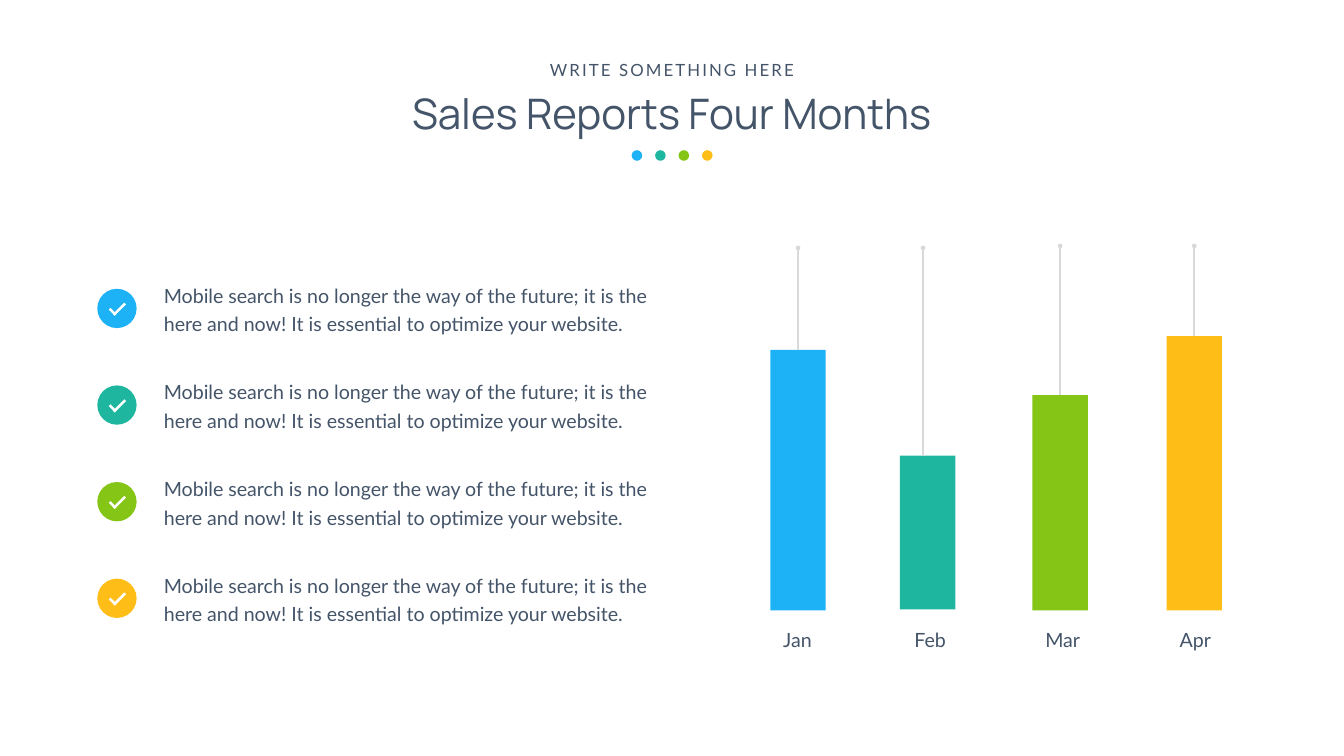
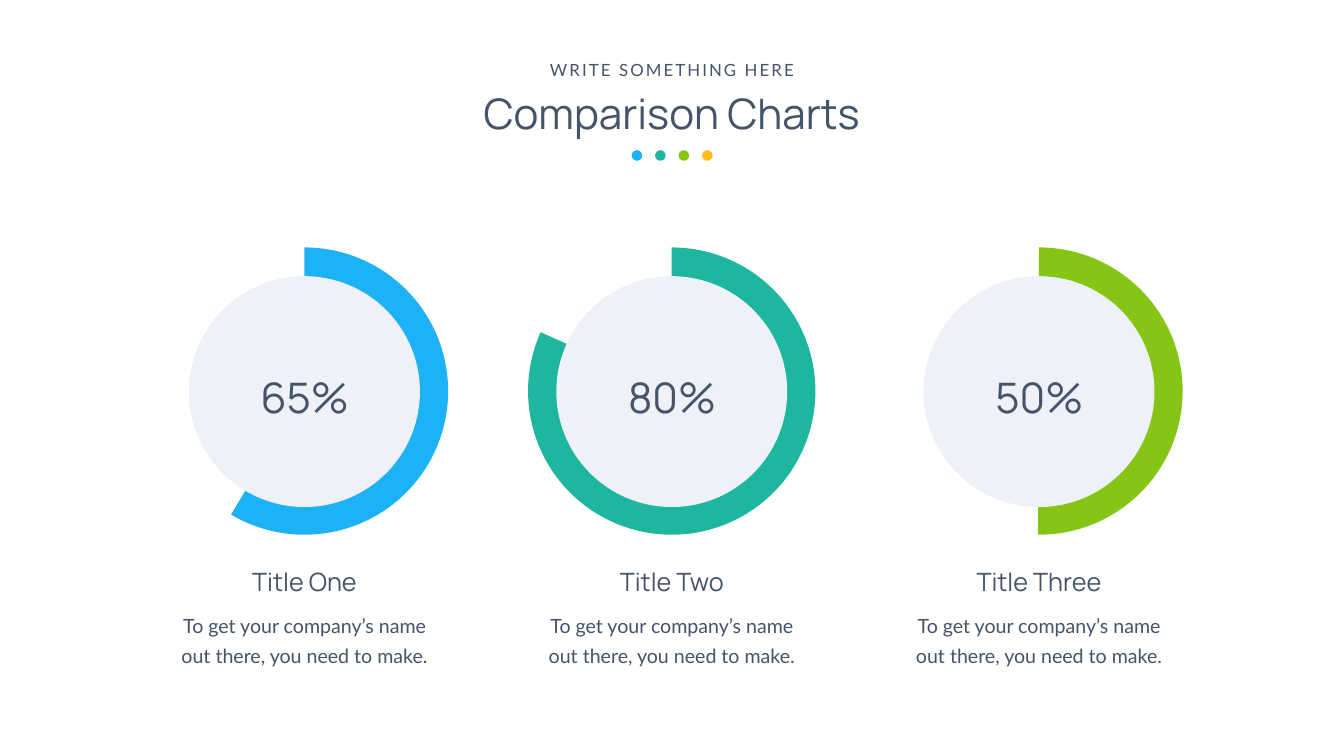
from pptx import Presentation
from pptx.dml.color import RGBColor
from pptx.enum.shapes import MSO_CONNECTOR as Link, MSO_SHAPE as Shape
from pptx.enum.text import MSO_ANCHOR as Anchor, MSO_AUTO_SIZE as Fit, PP_ALIGN as Align
from pptx.oxml import parse_xml
from pptx.oxml.ns import nsdecls, qn
from pptx.util import Inches, Pt

COLORS = {
    "ink": "445469",
    "blue": "1DB1F5",
    "teal": "1FB69F",
    "green": "85C515",
    "amber": "FEBD17",
    "disc": "EFF1F8",
    "pin": "D9D9D9",
    "white": "FFFFFF",
}
ACCENTS = ["blue", "teal", "green", "amber"]
COLUMNS, ROWS = 26.66, 15

FONTS = {
    "title": {"name": "Manrope", "size": Pt(60)},
    "subtitle": {"name": "Manrope", "size": Pt(36)},
    "eyebrow": {"name": "Lato", "size": Pt(24)},
    "body": {"name": "Lato", "size": Pt(28)},
}
CENTERED = {"alignment": Align.CENTER}
CAPTION = {"alignment": Align.CENTER, "line_spacing": Pt(43)}
MONTH = {"alignment": Align.CENTER, "line_spacing": 1.3}
POINT = {"alignment": Align.LEFT, "line_spacing": Pt(40.8)}
POINT_GAP = Pt(56.4)

BOX = {"word_wrap": True, "auto_size": Fit.SHAPE_TO_FIT_TEXT, "vertical_anchor": Anchor.TOP}
ONE_LINE = BOX | {"word_wrap": False}
MONTH_BOX = BOX | {
    "vertical_anchor": Anchor.MIDDLE,
    "margin_left": Inches(0.1), "margin_right": 0, "margin_top": 0, "margin_bottom": 0,
}
LIST_BOX = BOX | {
    "auto_size": Fit.NONE,
    "margin_left": Inches(0.24), "margin_right": Inches(0.24),
    "margin_top": Inches(0.12), "margin_bottom": Inches(0.12),
}


def apply(target, formats):
    for name, value in formats.items():
        setattr(target, name, value)


def rgb(color):
    return RGBColor.from_string(COLORS[color])


class Deck:
    def __init__(self):
        self.file = Presentation()
        self.file.slide_width = Inches(COLUMNS)
        self.file.slide_height = Inches(ROWS)
        self.cell = self.file.slide_height / ROWS
        self.slide = None

    def grid(self, *cells):
        return [round(cell * self.cell) for cell in cells]

    def start(self, title, layout):
        self.slide = self.file.slides.add_slide(self.file.slide_layouts[layout])
        heading = self.place(self.slide.shapes.title, 5.78, 1.68, 15.09, 1.11)
        self.fill_text(heading, [title], "title", CENTERED, BOX)
        self.text("WRITE SOMETHING HERE", (10.76, 1.13, 5.14, 0.5), "eyebrow",
                  CENTERED, ONE_LINE, tracking=3)
        for order, accent in enumerate(ACCENTS):
            self.shape(Shape.OVAL, accent, 12.53 + 0.465 * order, 2.98, 0.21, 0.21)

    def place(self, holder, *area):
        apply(holder, dict(zip(("left", "top", "width", "height"), self.grid(*area))))
        return holder

    def fill_text(self, holder, lines, font, paragraph_format, frame_format, tracking=0):
        frame = holder.text_frame
        apply(frame, frame_format)
        for order, line in enumerate(lines):
            paragraph = frame.add_paragraph() if order else frame.paragraphs[0]
            apply(paragraph, paragraph_format)
            run = paragraph.add_run()
            run.text = line
            apply(run.font, FONTS[font])
            run.font.color.rgb = rgb("ink")
            if tracking:
                run.font._element.set("spc", str(tracking * 100))

    def text(self, line, area, font, paragraph_format, frame_format=BOX, tracking=0):
        box = self.slide.shapes.add_textbox(*self.grid(*area))
        self.fill_text(box, [line], font, paragraph_format, frame_format, tracking)

    def points(self, lines, *area):
        body = self.place(self.slide.placeholders[1], *area)
        self.fill_text(body, lines, "body", POINT, LIST_BOX)
        for order, paragraph in enumerate(body.text_frame.paragraphs):
            paragraph.space_before = POINT_GAP if order else 0
            properties = paragraph._p.get_or_add_pPr()
            properties.set("marL", "0")
            properties.set("indent", "0")
            properties.append(parse_xml(f"<a:buNone {nsdecls('a')}/>"))

    def shape(self, kind, color, *area, rotation=0):
        shape = self.slide.shapes.add_shape(kind, *self.grid(*area))
        shape.shadow.inherit = False
        shape.fill.solid()
        shape.fill.fore_color.rgb = rgb(color)
        shape.line.fill.background()
        shape.rotation = rotation
        return shape

    def check(self, color, left, top):
        self.shape(Shape.OVAL, color, left, top, 0.78, 0.78)
        self.shape(Shape.RECTANGLE, "white", left + 0.22, top + 0.43, 0.17, 0.05, rotation=45)
        self.shape(Shape.RECTANGLE, "white", left + 0.28, top + 0.38, 0.32, 0.05, rotation=315)

    def pin(self, bar, foot, head):
        pin = self.slide.shapes.add_connector(Link.STRAIGHT, *self.grid(*foot, *head))
        if bar:
            pin.begin_connect(bar, 0)
        pin.line.color.rgb = rgb("pin")
        pin.line.width = Pt(2.25)
        properties = pin._element.spPr
        properties.find(qn("a:ln")).append(parse_xml(f'<a:tailEnd {nsdecls("a")} type="oval"/>'))
        properties.append(parse_xml(f"<a:effectLst {nsdecls('a')}/>"))

    def bar(self, color, left, top, bottom, pin_top, pin_shift):
        bar = self.shape(Shape.RECTANGLE, color, left, top, 1.1, bottom - top)
        pin_column = left + 0.55 + pin_shift
        self.pin(None if pin_shift else bar, (pin_column, top), (pin_column, pin_top))

    def gauge(self, color, left, sweep, share):
        ring = self.shape(Shape.PIE, color, left, 4.91, 5.7, 5.7)
        for order, degrees in enumerate((270, sweep)):
            ring.adjustments[order] = degrees * 0.6
        self.shape(Shape.OVAL, "disc", left + 0.56, 5.48, 4.58, 4.58)
        self.text(share, (left + 1.88, 7.33, 1.95, 1.11), "title", CENTERED, ONE_LINE)


def sales_report(deck):
    deck.start("Sales Reports Four Months", layout=1)
    message = ("Mobile search is no longer the way of the future; it is the here and now! "
               "It is essential to optimize your website.")
    deck.points([message] * len(ACCENTS), 3.01, 5.41, 10.65, 7.13)
    months = [
        ("Jan", 15.28, 6.94, 12.11, 4.92, 0),
        ("Feb", 17.85, 9.04, 12.09, 4.92, -0.09),
        ("Mar", 20.48, 7.84, 12.11, 4.88, 0),
        ("Apr", 23.14, 6.67, 12.11, 4.88, 0),
    ]
    for order, (accent, (month, *bar)) in enumerate(zip(ACCENTS, months)):
        deck.check(accent, 1.93, 5.73 + 1.917 * order)
        deck.bar(accent, *bar)
        deck.text(month, (14.93 + 2.63 * order, 12.36, 1.68, 0.54), "body", MONTH, MONTH_BOX)


def comparison(deck):
    deck.start("Comparison Charts", layout=5)
    gauges = [("Title One", "65%", 120.7), ("Title Two", "80%", 204.2), ("Title Three", "50%", 90.4)]
    for order, (accent, (name, share, sweep)) in enumerate(zip(ACCENTS, gauges)):
        left = 3.19 + 7.285 * order
        deck.gauge(accent, left, sweep, share)
        deck.text("To get your company’s name out there, you need to make.",
                  (left + 0.1, 12, 5.5, 1.25), "body", CAPTION)
        deck.text(name, (left + 0.25, 11.19, 5.2, 0.71), "subtitle", CENTERED)


def main():
    deck = Deck()
    sales_report(deck)
    comparison(deck)
    deck.file.save("out.pptx")


if __name__ == "__main__":
    main()
